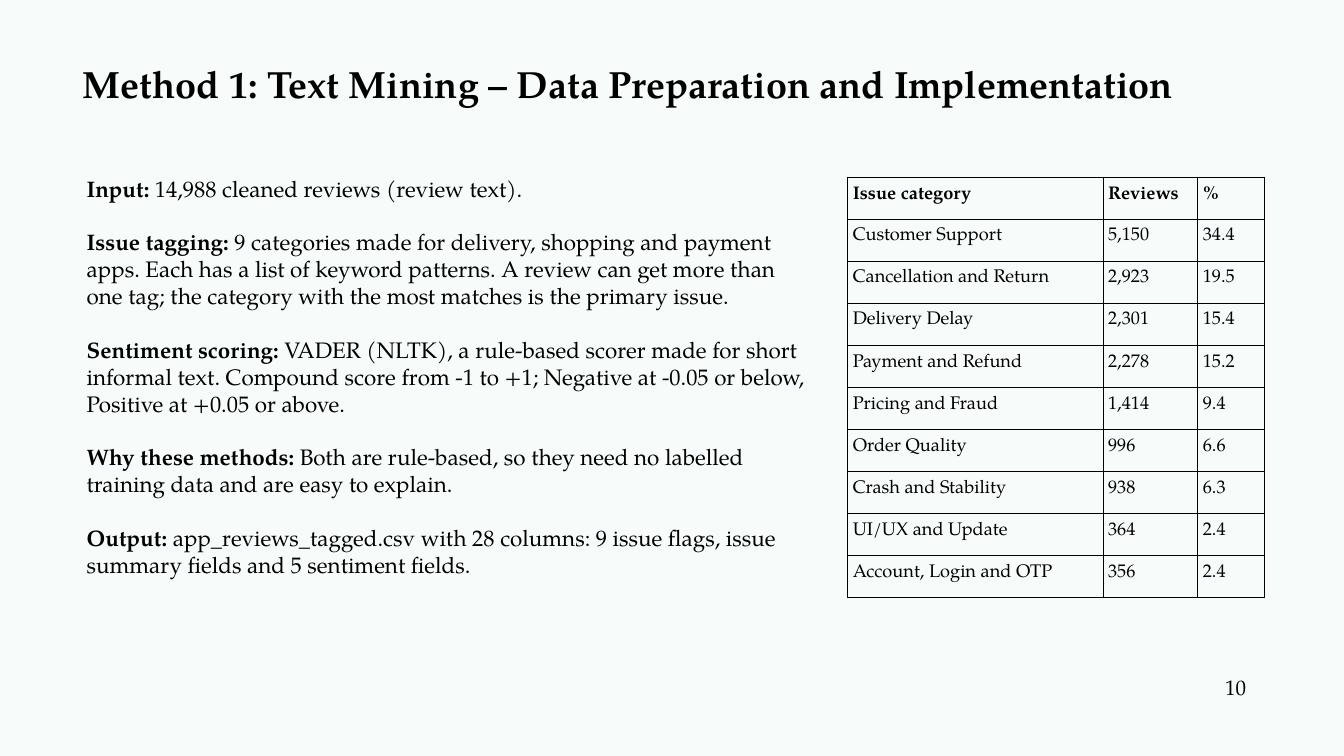
from lxml import etree
from pptx import Presentation
from pptx import util as u
from pptx.dml import color
from pptx.enum import text
from pptx.oxml import ns

INK = color.RGBColor(0x00, 0x00, 0x00)
PAPER = color.RGBColor(0xF7, 0xFC, 0xFA)
FACE = "TeX Gyre Pagella"


def add_span(para, wording, size, bold=False):
    span = para.add_run()
    span.text = wording
    span.font.color.rgb = INK
    for name, value in {"name": FACE, "size": u.Pt(size), "bold": bold}.items():
        setattr(span.font, name, value)


def add_box(page, left, top, width, height):
    box = page.shapes.add_textbox(*map(u.Inches, (left, top, width, height)))
    frame = box.text_frame
    layout = {"word_wrap": True, "margin_left": 0, "margin_top": 0,
              "margin_right": 0, "margin_bottom": 0}
    for name, value in layout.items():
        setattr(frame, name, value)
    return frame


# Page
deck = Presentation()
deck.slide_width, deck.slide_height = u.Inches(20), u.Inches(11.25)
page = deck.slides.add_slide(deck.slide_layouts[6])
page.background.fill.solid()
page.background.fill.fore_color.rgb = PAPER

# Title and page number
labels = [
    ("Method 1: Text Mining – Data Preparation and Implementation",
     (1.23, 0.91, 17.56, 0.67), 40.5, 48.6, True),
    ("10", (18.23, 10.03, 0.85, 0.38), 22.5, 27, False),
]
for wording, place, size, spacing, bold in labels:
    para = add_box(page, *place).paragraphs[0]
    para.line_spacing = u.Pt(spacing)
    add_span(para, wording, size, bold)

# Method notes: bold lead, then its explanation
notes = [
    ("Input: ", "14,988 cleaned reviews (review text)."),
    ("Issue tagging: ",
     "9 categories made for delivery, shopping and payment apps. Each has a list of "
     "keyword patterns. A review can get more than one tag; the category with the "
     "most matches is the primary issue."),
    ("Sentiment scoring: ",
     "VADER (NLTK), a rule-based scorer made for short informal text. Compound score "
     "from -1 to +1; Negative at -0.05 or below, Positive at +0.05 or above."),
    ("Why these methods: ",
     "Both are rule-based, so they need no labelled training data and are easy to "
     "explain."),
    ("Output: ",
     "app_reviews_tagged.csv with 28 columns: 9 issue flags, issue summary fields "
     "and 5 sentiment fields."),
]
frame = add_box(page, 1.29, 2.6, 10.76, 5.94)
for index, (lead, explanation) in enumerate(notes):
    para = frame.add_paragraph() if index else frame.paragraphs[0]
    para.line_spacing = u.Pt(28.8)
    para.space_before = u.Pt(28.8 if index else 0)
    add_span(para, lead, 24, bold=True)
    add_span(para, explanation, 24)

# Issue table
issues = [
    ("Issue category", "Reviews", "%"),
    ("Customer Support", "5,150", "34.4"),
    ("Cancellation and Return", "2,923", "19.5"),
    ("Delivery Delay", "2,301", "15.4"),
    ("Payment and Refund", "2,278", "15.2"),
    ("Pricing and Fraud", "1,414", "9.4"),
    ("Order Quality", "996", "6.6"),
    ("Crash and Stability", "938", "6.3"),
    ("UI/UX and Update", "364", "2.4"),
    ("Account, Login and OTP", "356", "2.4"),
]
widths = [3.8, 1.41, 0.99]
table = page.shapes.add_table(
    len(issues), len(widths),
    *map(u.Inches, (12.61, 2.63, sum(widths), 6.26))).table
for column, width in zip(table.columns, widths):
    column.width = u.Inches(width)

cell_margins = dict.fromkeys(
    ("margin_left", "margin_top", "margin_right", "margin_bottom"), u.Inches(0.08))
for row, issue in enumerate(issues):
    for col, wording in enumerate(issue):
        cell = table.cell(row, col)
        for name, value in cell_margins.items():
            setattr(cell, name, value)
        para = cell.text_frame.paragraphs[0]
        para.alignment = text.PP_ALIGN.JUSTIFY
        para.line_spacing = u.Pt(23.4)
        add_span(para, wording, 19.5, bold=row == 0)

        # Thin rule on all four sides, placed ahead of the fill
        cell.fill.background()
        properties = cell._tc.get_or_add_tcPr()
        for place, side in enumerate(("lnL", "lnR", "lnT", "lnB")):
            rule = etree.Element(ns.qn(f"a:{side}"), w=str(u.Pt(0.37)))
            fill = etree.SubElement(rule, ns.qn("a:solidFill"))
            etree.SubElement(fill, ns.qn("a:srgbClr"), val=str(INK))
            properties.insert(place, rule)

deck.save("out.pptx")
